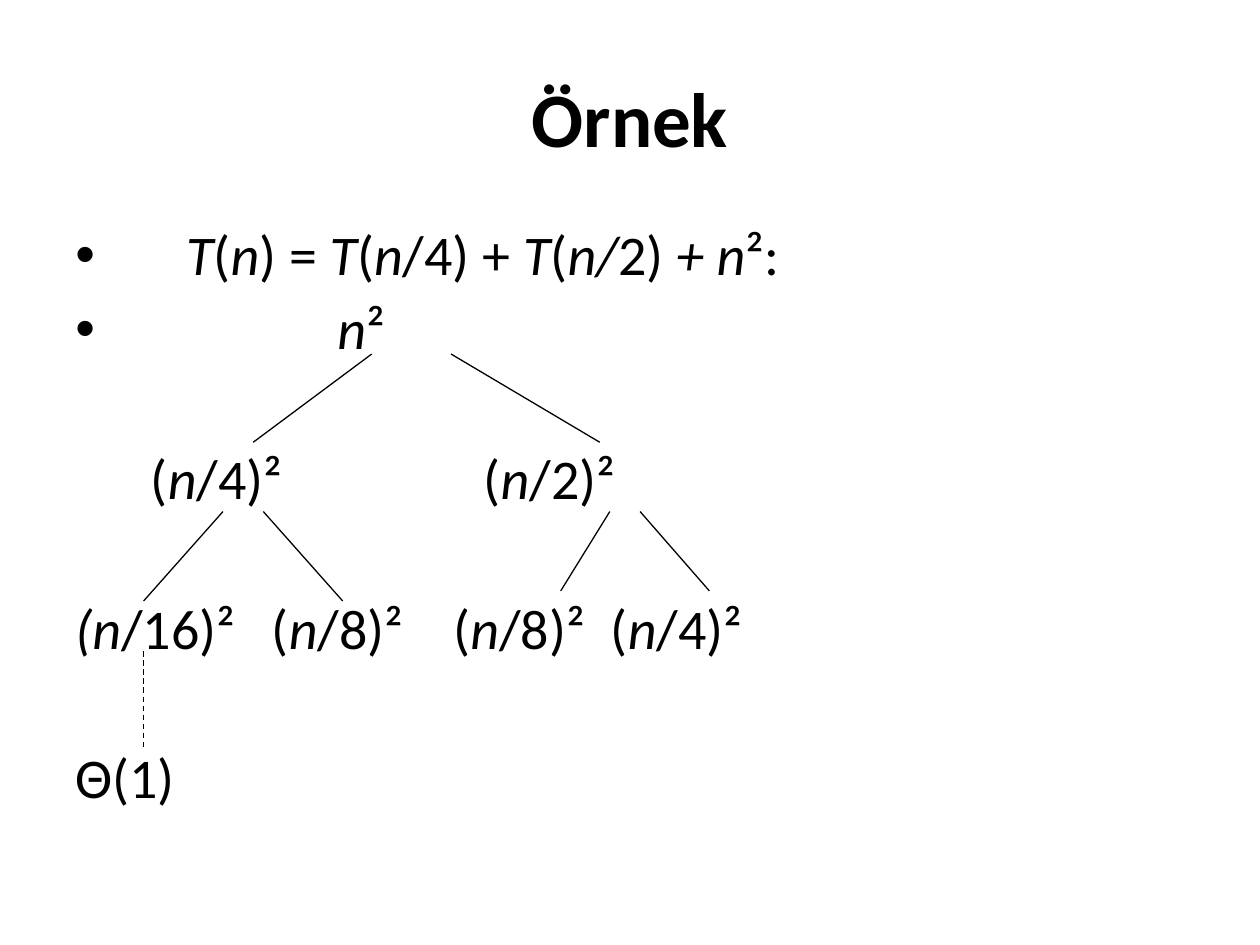
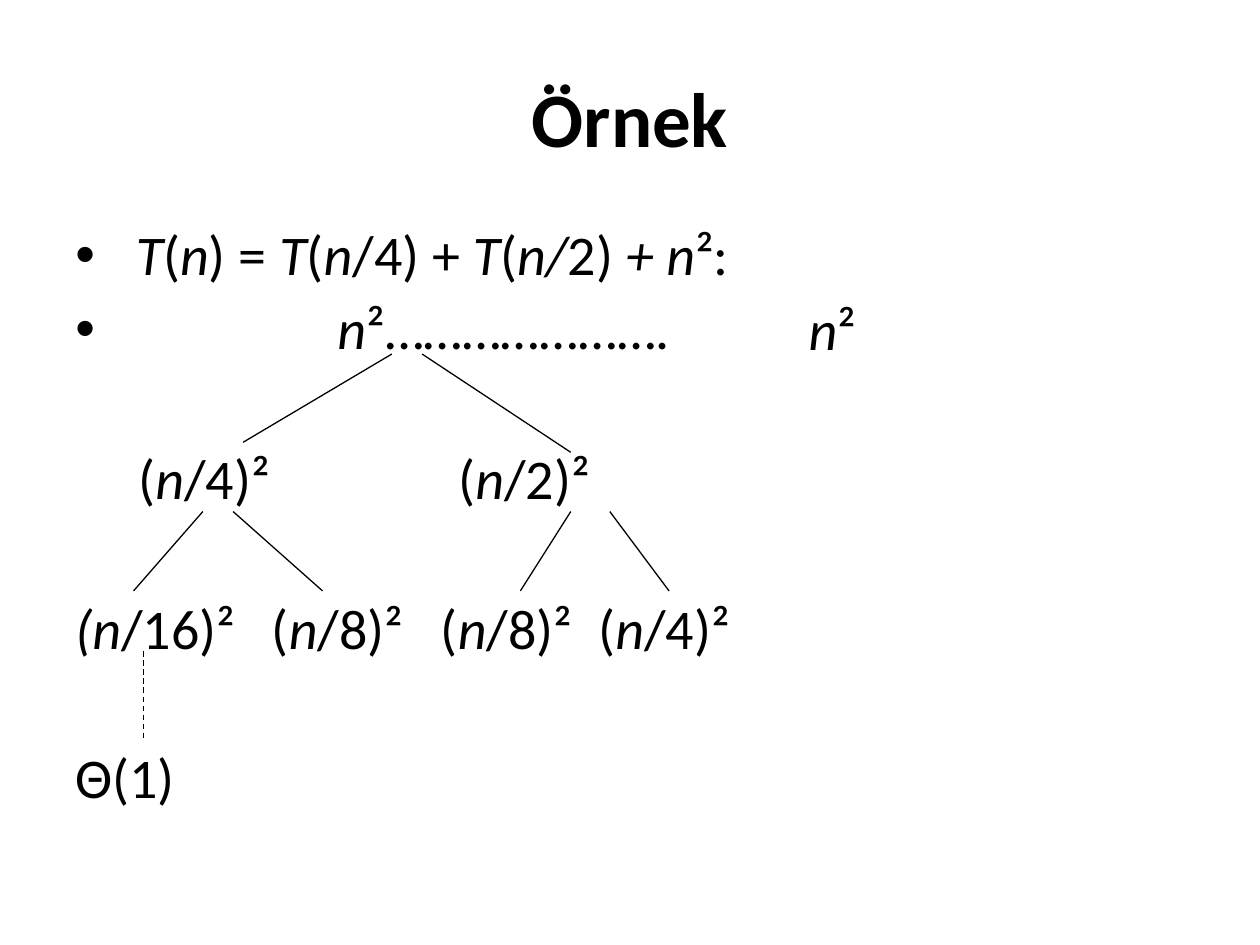
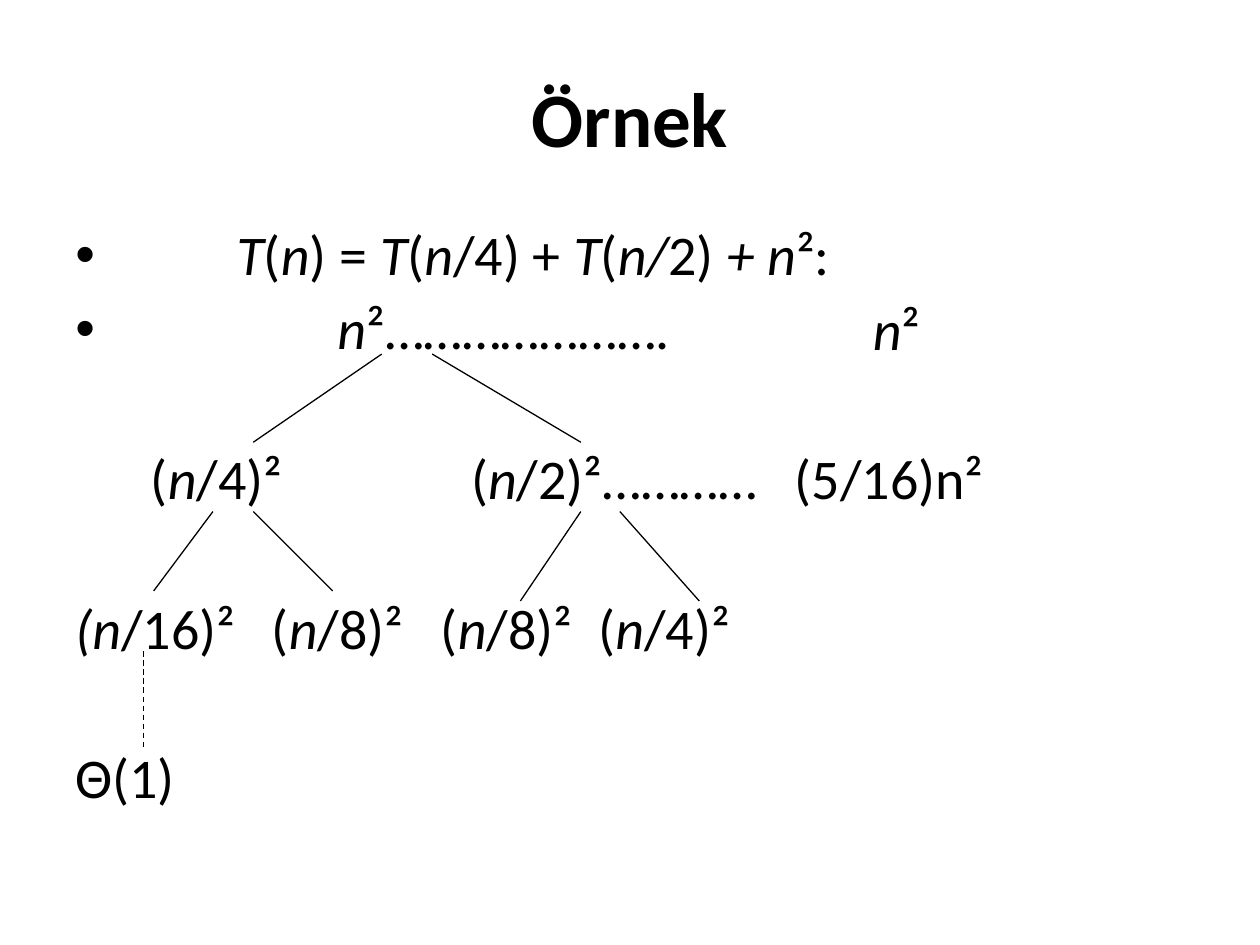
import pptx
import pptx.dml.color
import pptx.enum.dml
import pptx.enum.shapes
import pptx.enum.text
import pptx.oxml
import pptx.oxml.ns
import pptx.util
from lxml import etree

BLACK = pptx.dml.color.RGBColor(0x00, 0x00, 0x00)
WHITE = pptx.dml.color.RGBColor(0xFF, 0xFF, 0xFF)
FONT = "Calibri"
TITLE_SIZE, BODY_SIZE = 44, 32
GAP = 8            # points between neighbouring lines
LEVEL_GAP = 51     # points between levels of the tree, one line left free
COLUMNS = 100      # the grid is 100 columns by 75 rows of equal size
INSET = 1          # side inset of a text box, in columns

# Underscores switch italics on and off.
EQUATION = "_T_(_n_) = _T_(_n_/4) + _T_(_n/_2) _+ n_²:"
LEAVES = "_(n_/16)²\t(_n_/8)²\t(_n_/8)²\t(_n_/4)²"
CHILDREN = "\t(_n_/4)²\t(_n_/2)²"
DOTTED_ROOT = "_n_²…………………."

ROOT_INDENT = 20.8
BODY_LEFT, BODY_TOP, BODY_WIDTH, BODY_HEIGHT = 5, 17.5, 90, 49.5
SECOND_LINE_TOP = 23.5
ROOT_FOOT, CHILD_FOOT, LEAF_FOOT = 28.1, 40.6, 51.7
THETA_COLUMN = 11.4

# Each edge: start column, end column, end row.
EXAMPLES = [
    dict(equation_indent=8.8, root="_n_²", root_cost=None,
         children=CHILDREN, child_tabs=[6, 32.4], leaf_tabs=[15.6, 30, 42.5],
         root_edges=[(29.5, 20.1, 35.1), (35.8, 47.6, 35.1)],
         child_edges=[(17.7, 11.4, 47.7), (20.9, 27.2, 47.7),
                      (48.4, 44.5, 46.9), (50.8, 56.3, 46.9)],
         theta_row=59.5),
    dict(equation_indent=4.8, root=DOTTED_ROOT, root_cost=64.2,
         children=CHILDREN, child_tabs=[5, 30.4], leaf_tabs=[15.6, 29, 41.5],
         root_edges=[(31.1, 19.3, 35.1), (33.5, 45.3, 35.9)],
         child_edges=[(16.1, 10.6, 46.9), (18.5, 25.6, 46.9),
                      (45.3, 41.3, 46.9), (48.4, 53.1, 46.9)],
         theta_row=58.8),
    dict(equation_indent=12.8, root=DOTTED_ROOT, root_cost=69.3,
         children=CHILDREN + "…………\t(5/16)n²", child_tabs=[6, 31.4, 57.1],
         leaf_tabs=[15.6, 29, 41.5],
         root_edges=[(30.3, 20.1, 35.1), (34.3, 46.1, 35.1)],
         child_edges=[(16.9, 12.2, 46.9), (20.1, 26.4, 46.9),
                      (46.1, 41.3, 47.7), (49.2, 55.5, 47.7)],
         theta_row=59.5),
]


class TreeDeck:
    def __init__(self):
        self.deck = pptx.Presentation()
        self.deck.slide_width = pptx.util.Inches(10)
        self.deck.slide_height = pptx.util.Inches(7.5)
        self.page = None

    def cells(self, *counts):
        """Turn counts of grid cells into lengths."""
        return [pptx.util.Emu(round(count * self.deck.slide_width / COLUMNS))
                for count in counts]

    def new_page(self):
        self.page = self.deck.slides.add_slide(self.deck.slide_layouts[6])
        self.page.background.fill.solid()
        self.page.background.fill.fore_color.rgb = WHITE

    def text_box(self, left, top, width, height):
        box = self.page.shapes.add_textbox(*self.cells(left, top, width, height))
        box.text_frame.word_wrap = True
        return box.text_frame

    def title(self, text):
        frame = self.text_box(5, 3, 90, 12.5)
        frame.vertical_anchor = pptx.enum.text.MSO_ANCHOR.MIDDLE
        para = frame.paragraphs[0]
        para.alignment = pptx.enum.text.PP_ALIGN.CENTER
        self.add_spans(para, text, TITLE_SIZE, bold=True)

    def add_spans(self, para, text, size=BODY_SIZE, bold=False):
        for number, piece in enumerate(text.split("_")):
            if piece:
                span = para.add_run()
                span.text = piece
                span.font.name = FONT
                span.font.size = pptx.util.Pt(size)
                span.font.bold = bold
                span.font.italic = number % 2 == 1
                span.font.color.rgb = BLACK

    def line(self, frame, text, gap=GAP, bullet_indent=None, tabs=()):
        """Add a body line; the first one fills the empty paragraph."""
        para = frame.paragraphs[0]
        if para.runs:
            para = frame.add_paragraph()
            para.space_before = pptx.util.Pt(gap)
        para.line_spacing = 0.9
        properties = para._p.get_or_add_pPr()
        if bullet_indent is not None:
            indent, = self.cells(bullet_indent)
            properties.set("marL", str(indent))
            properties.set("indent", str(-indent))
            for tag, name, value in (("a:buFont", "typeface", "Arial"),
                                     ("a:buChar", "char", "•")):
                mark = etree.SubElement(properties, pptx.oxml.ns.qn(tag))
                mark.set(name, value)
        if tabs:
            stops = etree.SubElement(properties, pptx.oxml.ns.qn("a:tabLst"))
            for position in self.cells(*tabs):
                stop = etree.SubElement(stops, pptx.oxml.ns.qn("a:tab"))
                stop.set("pos", str(position))
                stop.set("algn", "l")
        self.add_spans(para, text)

    def edge(self, start_column, start_row, end_column, end_row, dashed=False):
        edge = self.page.shapes.add_connector(
            pptx.enum.shapes.MSO_CONNECTOR.STRAIGHT,
            *self.cells(start_column, start_row, end_column, end_row))
        edge.line.color.rgb = BLACK
        edge.line.width = pptx.util.Pt(0.75)
        if dashed:
            edge.line.dash_style = pptx.enum.dml.MSO_LINE.DASH
        etree.SubElement(edge._element.spPr, pptx.oxml.ns.qn("a:effectLst"))

    def example(self, equation_indent, root, root_cost, children, child_tabs,
                leaf_tabs, root_edges, child_edges, theta_row):
        self.new_page()
        self.title("Örnek")
        body = self.text_box(BODY_LEFT, BODY_TOP, BODY_WIDTH, BODY_HEIGHT)
        self.line(body, EQUATION, bullet_indent=equation_indent)
        self.line(body, root, bullet_indent=ROOT_INDENT)
        self.line(body, children, LEVEL_GAP, tabs=child_tabs)
        self.line(body, LEAVES, LEVEL_GAP, tabs=leaf_tabs)
        self.line(body, "Θ(1)", LEVEL_GAP)
        if root_cost is not None:
            cost = self.text_box(root_cost - INSET, SECOND_LINE_TOP, 8, 6)
            self.line(cost, "_n_²")
        for foot, edges in ((ROOT_FOOT, root_edges), (CHILD_FOOT, child_edges)):
            for start_column, end_column, end_row in edges:
                self.edge(start_column, foot, end_column, end_row)
        self.edge(THETA_COLUMN, LEAF_FOOT, THETA_COLUMN, theta_row, dashed=True)


def main():
    tree_deck = TreeDeck()
    for example in EXAMPLES:
        tree_deck.example(**example)
    tree_deck.deck.save("out.pptx")


if __name__ == "__main__":
    main()
